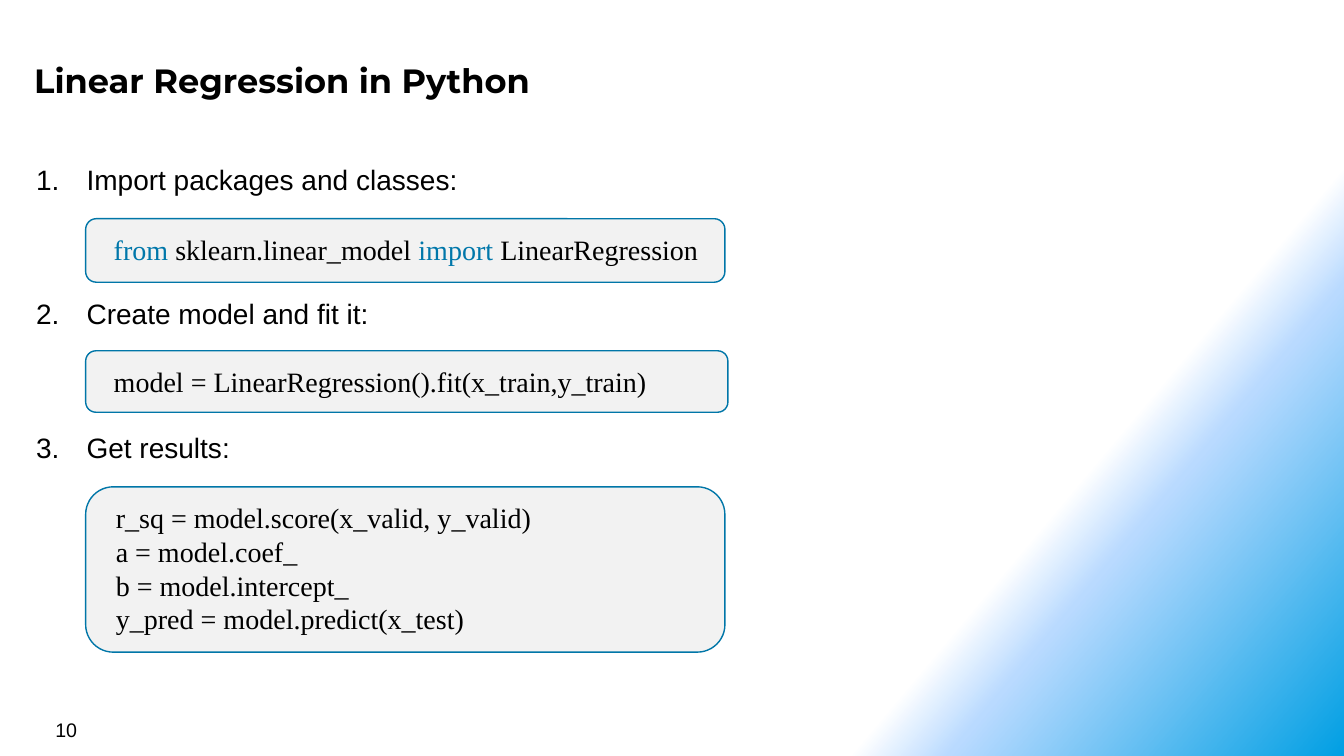
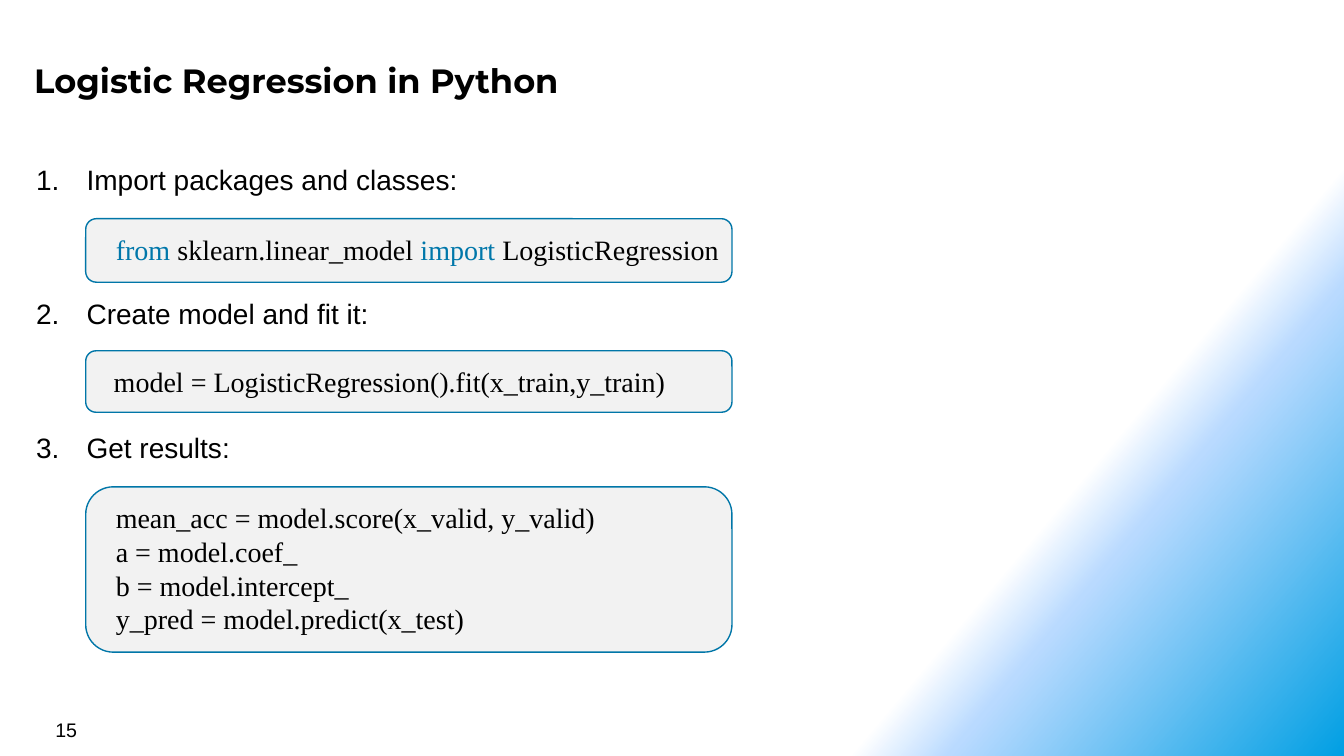
from dataclasses import dataclass
from typing import NamedTuple

from pptx import Presentation
from pptx import util as u
from pptx.dml.color import RGBColor
from pptx.enum import shapes, text
from pptx.oxml import parse_xml
from pptx.oxml.ns import nsdecls, qn

PX = 9144


def px(length: int) -> int:
    return length * PX


@dataclass(frozen=True)
class Style:
    font: str
    size: int
    leading: int | None = None
    bold: bool = False
    after: int = 0


@dataclass(frozen=True)
class Theme:
    ink: str = "000000"
    keyword: str = "0077AA"
    panel: str = "F2F2F2"
    outline: str = "0076A8"
    glow: tuple = ((75, "FFFFFF", 100), (80, "B9DAFF", 50), (100, "009FE3", 100))
    glow_angle: int = 40
    title: Style = Style("Montserrat", 24, bold=True)
    step: Style = Style("Arial", 20, leading=24, after=72)
    code: Style = Style("Times New Roman", 20, leading=24)
    number: Style = Style("Arial", 14)


THEME = Theme()


class Box(NamedTuple):
    left: int
    top: int
    width: int
    height: int

    def emu(self) -> list[int]:
        return [px(length) for length in self]


class Span(NamedTuple):
    words: str
    color: str = THEME.ink


Line = tuple[Span, ...]


class Snippet(NamedTuple):
    panel: Box
    code: Box
    lines: tuple[Line, ...]


class Lesson(NamedTuple):
    title: str
    number: str
    estimator: str
    score: str
    panel_widths: tuple[int, int, int]
    import_left: int
    import_width: int


TITLE = Box(26, 51, 1226, 55)
NUMBER = Box(45, 707, 311, 33)
STEPS = Box(26, 156, 1268, 313)
PANEL_LEFT = 85
CODE_WIDTH = 614

STEP_NAMES = ("Import packages and classes:", "Create model and fit it:", "Get results:")

LESSONS = (
    Lesson("Linear Regression in Python", "10", "LinearRegression", "r_sq",
           (634, 637, 634), 103, CODE_WIDTH),
    Lesson("Logistic Regression in Python", "15", "LogisticRegression", "mean_acc",
           (641, 641, 641), 105, 622),
)


def plain(*lines: str) -> tuple[Line, ...]:
    return tuple((Span(line),) for line in lines)


def snippets(lesson: Lesson) -> tuple[Snippet, ...]:
    import_width, fit_width, results_width = lesson.panel_widths
    import_line = (
        Span("from ", THEME.keyword),
        Span("sklearn.linear_model "),
        Span("import ", THEME.keyword),
        Span(lesson.estimator),
    )
    return (
        Snippet(Box(PANEL_LEFT, 217, import_width, 63),
                Box(lesson.import_left, 226, lesson.import_width, 44),
                (import_line,)),
        Snippet(Box(PANEL_LEFT, 348, fit_width, 61),
                Box(103, 357, CODE_WIDTH, 44),
                plain(f"model = {lesson.estimator}().fit(x_train,y_train)")),
        Snippet(Box(PANEL_LEFT, 483, results_width, 164),
                Box(105, 492, CODE_WIDTH, 145),
                plain(f"{lesson.score} = model.score(x_valid, y_valid)",
                      "a = model.coef_",
                      "b = model.intercept_",
                      "y_pred = model.predict(x_test)")),
    )


def paint_background(master) -> None:
    fill = master.background.fill
    fill.gradient()
    fill.gradient_angle = 360 - THEME.glow_angle
    stops = master.element.find(".//" + qn("a:gsLst"))
    for stop in list(stops):
        stops.remove(stop)
    for position, color, opacity in THEME.glow:
        alpha = f'<a:alpha val="{opacity * 1000}"/>' if opacity < 100 else ""
        stops.append(parse_xml(
            f'<a:gs {nsdecls("a")} pos="{position * 1000}">'
            f'<a:srgbClr val="{color}">{alpha}</a:srgbClr></a:gs>'))


def write(slide, box: Box, lines: tuple[Line, ...], style: Style,
          inset: tuple[int, int] = (10, 5)) -> list:
    frame = slide.shapes.add_textbox(*box.emu()).text_frame
    across, down = map(px, inset)
    frame_format = {
        "word_wrap": True,
        "vertical_anchor": text.MSO_ANCHOR.TOP,
        "margin_left": across,
        "margin_right": across,
        "margin_top": down,
        "margin_bottom": down,
    }
    for attribute, value in frame_format.items():
        setattr(frame, attribute, value)
    run_format = {"name": style.font, "size": u.Pt(style.size), "bold": style.bold}
    paragraphs = []
    for index, line in enumerate(lines):
        paragraph = frame.add_paragraph() if index else frame.paragraphs[0]
        paragraph.space_after = u.Pt(style.after)
        if style.leading:
            paragraph.line_spacing = u.Pt(style.leading)
        for span in line:
            run = paragraph.add_run()
            run.text = span.words
            for attribute, value in run_format.items():
                setattr(run.font, attribute, value)
            run.font.color.rgb = RGBColor.from_string(span.color)
        paragraphs.append(paragraph)
    return paragraphs


def write_steps(slide) -> None:
    for paragraph in write(slide, STEPS, plain(*STEP_NAMES), THEME.step):
        properties = paragraph._p.get_or_add_pPr()
        properties.set("marL", str(px(50)))
        properties.set("indent", str(px(-50)))
        for bullet in ('<a:buFont {} typeface="+mj-lt"/>',
                       '<a:buAutoNum {} type="arabicPeriod"/>'):
            if "buFont" in bullet:
                bullet = bullet.replace("+mj-lt", THEME.step.font)
            properties.append(parse_xml(bullet.format(nsdecls("a"))))


def draw_snippet(slide, snippet: Snippet) -> None:
    panel = slide.shapes.add_shape(
        shapes.MSO_SHAPE.ROUNDED_RECTANGLE, *snippet.panel.emu())
    panel.shadow.inherit = False
    panel.fill.solid()
    panel.fill.fore_color.rgb = RGBColor.from_string(THEME.panel)
    panel.line.color.rgb = RGBColor.from_string(THEME.outline)
    panel.line.width = u.Pt(1)
    write(slide, snippet.code, snippet.lines, THEME.code)


def draw_lesson(slide, lesson: Lesson) -> None:
    write(slide, TITLE, plain(lesson.title), THEME.title, inset=(8, 8))
    write(slide, NUMBER, plain(lesson.number), THEME.number)
    write_steps(slide)
    for snippet in snippets(lesson):
        draw_snippet(slide, snippet)


def main() -> None:
    deck = Presentation()
    deck.slide_width = px(1333)
    deck.slide_height = px(750)
    paint_background(deck.slide_master)
    blank = deck.slide_layouts[6]
    for lesson in LESSONS:
        draw_lesson(deck.slides.add_slide(blank), lesson)
    deck.save("out.pptx")


if __name__ == "__main__":
    main()
